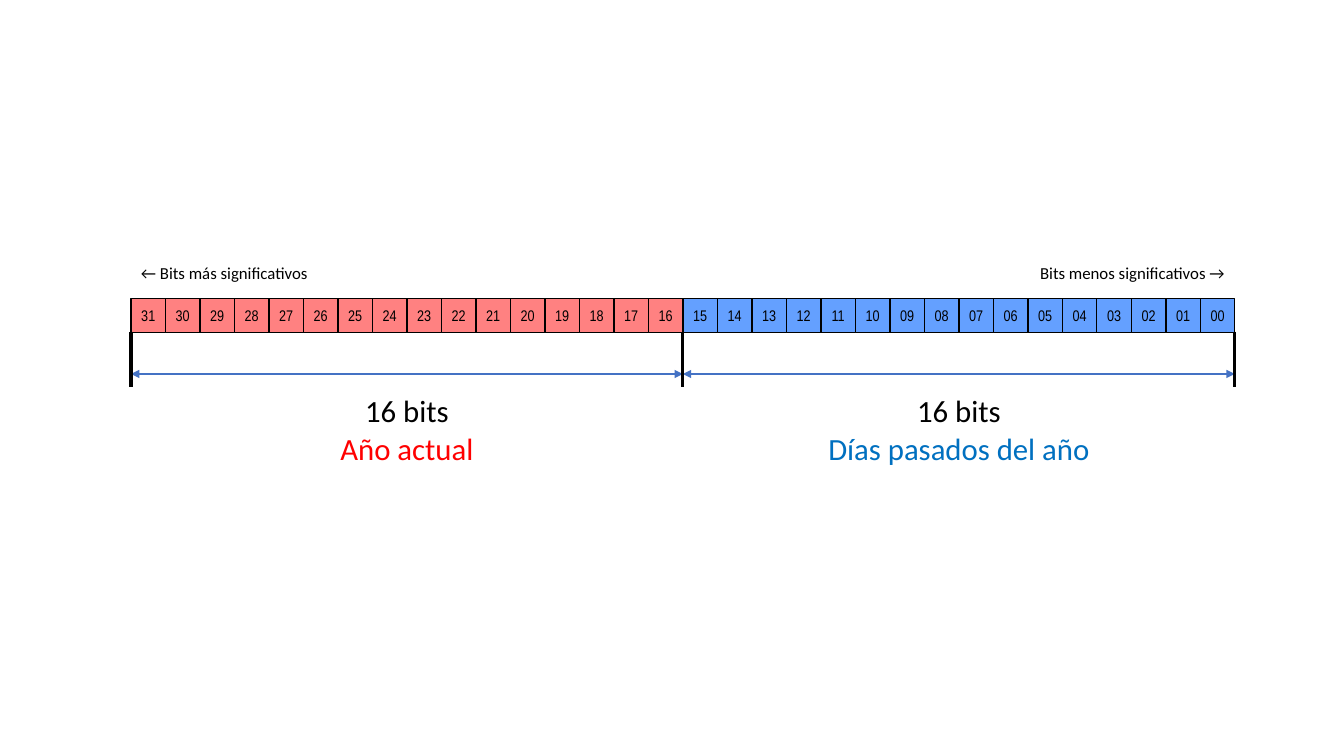
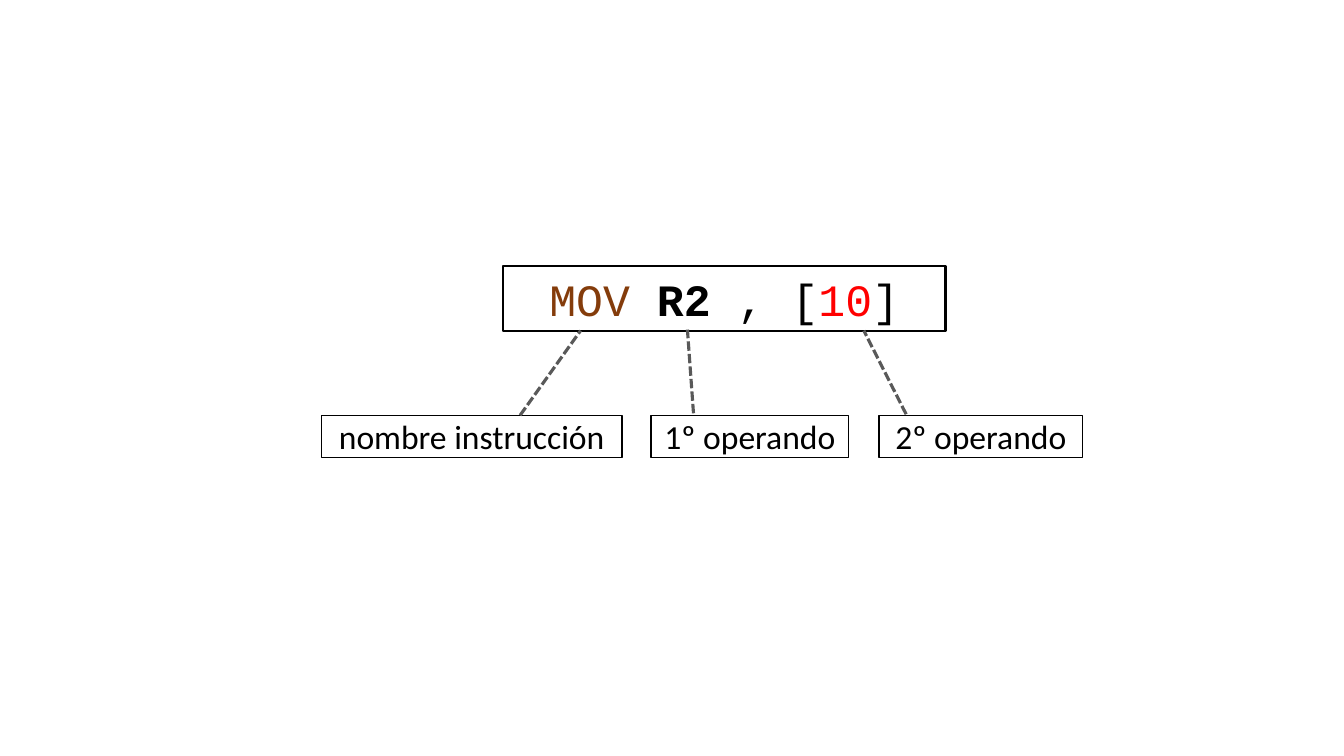
from lxml import etree
from pptx import Presentation
from pptx.dml.color import RGBColor
from pptx.enum.dml import MSO_LINE as Dash
from pptx.enum.shapes import MSO_CONNECTOR as Conn, MSO_SHAPE as Kind
from pptx.enum.text import MSO_ANCHOR as Anchor, PP_ALIGN as Align
from pptx.oxml.ns import qn
from pptx.util import Pt

PX = 9144  # 100 px to the inch
BLACK = RGBColor(0x00, 0x00, 0x00)
WHITE = RGBColor(0xFF, 0xFF, 0xFF)
RED = RGBColor(0xFF, 0x00, 0x00)
BLUE = RGBColor(0x00, 0x70, 0xC0)
BROWN = RGBColor(0x84, 0x3C, 0x0B)
GREY = RGBColor(0x59, 0x59, 0x59)
ARROW = RGBColor(0x44, 0x72, 0xC4)
PINK = RGBColor(0xFF, 0x81, 0x81)
SKY = RGBColor(0x64, 0xA0, 0xFF)

# Content of the bit layout: size, name, name colour, cell colour
FIELDS = [
    (16, "Año actual", RED, PINK),
    (16, "Días pasados del año", BLUE, SKY),
]
ENDS = [
    ("← Bits más significativos", Align.LEFT),
    ("Bits menos significativos →", Align.RIGHT),
]
LEFT, TOP, WIDTH, HIGH = 130, 296, 1095, 34
NOTE = 274

# Content of the instruction: runs as text, colour, bold
CODE = [
    ("MOV ", BROWN, False),
    ("R2 ", BLACK, True),
    (", [", BLACK, False),
    ("10", RED, False),
    ("]", BLACK, False),
]
# Label, left, width, leader from its box up to the code
PARTS = [
    ("nombre instrucción", 319, 298, (516, 412, 576, 328)),
    ("1º operando", 646, 196, (688, 410, 682, 327)),
    ("2º operando", 872, 202, (899, 411, 857, 328)),
]


def emu(*nums):
    return [round(n * PX) for n in nums]


def write(shape, runs, size=24, face="Calibri", align=Align.CENTER,
          color=BLACK, pad=(10, 5)):
    """Fill a shape with one paragraph: plain text or coloured runs."""
    frame = shape.text_frame
    frame.word_wrap = True
    frame.vertical_anchor = Anchor.MIDDLE
    frame.margin_left = frame.margin_right = pad[0] * PX
    frame.margin_top = frame.margin_bottom = pad[1] * PX
    para = frame.paragraphs[0]
    para.alignment = align
    if isinstance(runs, str):
        runs = [(runs, color, False)]
    for words, tint, bold in runs:
        run = para.add_run()
        run.text = words
        font = run.font
        font.name, font.size, font.bold = face, Pt(size), bold
        font.color.rgb = tint


def label(slide, at, words, **style):
    write(slide.shapes.add_textbox(*emu(*at)), words, **style)


def box(slide, at, words, fill=None, weight=1, **style):
    shape = slide.shapes.add_shape(Kind.RECTANGLE, *emu(*at))
    shape.shadow.inherit = False
    if fill is None:
        shape.fill.background()
    else:
        shape.fill.solid()
        shape.fill.fore_color.rgb = fill
    shape.line.color.rgb = BLACK
    shape.line.width = Pt(weight)
    write(shape, words, **style)


def rule(slide, ends, color=BLACK, weight=2.25, dash=None, arrows=False):
    wire = slide.shapes.add_connector(Conn.STRAIGHT, *emu(*ends))
    wire.line.color.rgb = color
    wire.line.width = Pt(weight)
    if dash:
        wire.line.dash_style = dash
    if arrows:
        for tag in ("a:headEnd", "a:tailEnd"):
            etree.SubElement(wire.line._get_or_add_ln(), qn(tag), type="triangle")
    etree.SubElement(wire._element.spPr, qn("a:effectLst"))


def draw_bits(slide):
    total = sum(field[0] for field in FIELDS)
    cell = WIDTH / total
    bit, x = total, LEFT
    rule_y, foot = 371, 384
    for size, name, color, fill in FIELDS:
        # Cells, highest bit first
        for i in range(size):
            bit -= 1
            box(slide, (x + i * cell, TOP, cell, HIGH), f"{bit:02d}",
                fill=fill, size=11, face="Arial Narrow")
        # Span and its captions
        span = size * cell
        rule(slide, (x, rule_y, x + span, rule_y), color=ARROW, weight=1,
             arrows=True)
        label(slide, (x, 383, span, 47), f"{size} bits", size=22)
        label(slide, (x, 421, span, 47), name, size=22, color=color)
        rule(slide, (x, 329, x, foot))
        x += span
    rule(slide, (x, 329, x, foot))
    # Notes above both ends
    for (words, align), left in zip(ENDS, (LEFT, LEFT + WIDTH - NOTE)):
        label(slide, (left, 256, NOTE, 30), words, size=12, align=align)


def draw_code(slide):
    box(slide, (499, 264, 439, 64), CODE, weight=1.5, size=32,
        face="Courier New", pad=(0, 0))
    for words, left, width, lead in PARTS:
        box(slide, (left, 412, width, 42), words, fill=WHITE, pad=(0, 0))
        rule(slide, lead, color=GREY, dash=Dash.SQUARE_DOT)


def main():
    deck = Presentation()
    deck.slide_width, deck.slide_height = emu(1333.33, 750)
    for draw in (draw_bits, draw_code):
        draw(deck.slides.add_slide(deck.slide_layouts[6]))
    deck.save("out.pptx")


if __name__ == "__main__":
    main()
